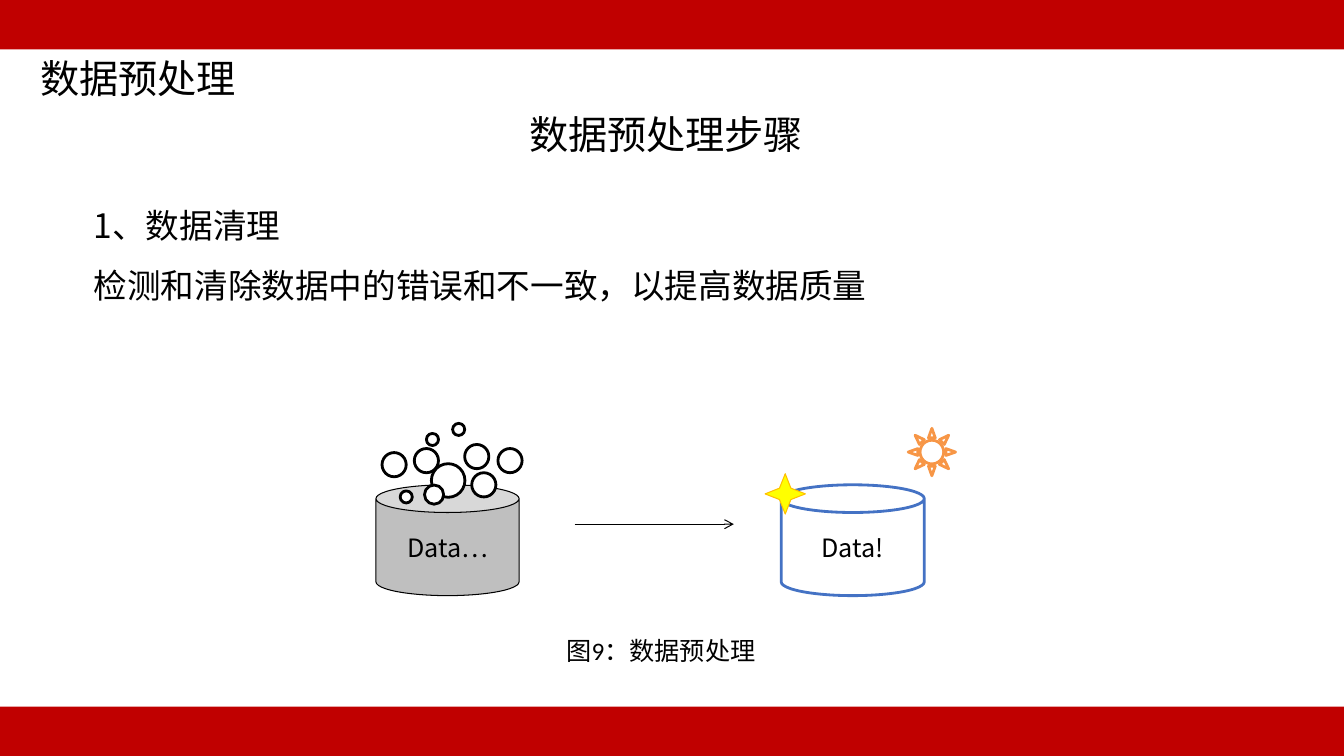
from pptx import Presentation
from pptx import util as u
from pptx.dml.color import RGBColor
from pptx.enum import shapes, text
from pptx.oxml.ns import qn

COLORS = {
    "black": "000000", "white": "FFFFFF", "red": "C00000", "grey": "BFBFBF",
    "blue": "4472C4", "orange": "F79646", "yellow": "FFFF00", "gold": "FFC000",
}
CJK_FONT = "Noto Sans CJK SC"
COLUMNS, ROWS = 40, 22.5
Shape = shapes.MSO_SHAPE


def color(name):
    return RGBColor.from_string(COLORS[name])


def write(frame, content, size=18, font=CJK_FONT, align=None, spacing=None):
    """Fill a text frame, one paragraph for each line of content."""
    frame.word_wrap = True
    for number, line in enumerate(content.split("\n")):
        paragraph = frame.add_paragraph() if number else frame.paragraphs[0]
        paragraph.alignment = align
        paragraph.line_spacing = spacing
        run = paragraph.add_run()
        run.text = line
        run.font.size = u.Pt(size)
        run.font.name = font
        run.font.color.rgb = color("black")
        east_asian = run.font._element.makeelement(qn("a:ea"), {"typeface": CJK_FONT})
        run.font._element.find(qn("a:latin")).addnext(east_asian)


class GridSlide:
    """A slide whose lengths are given in grid columns and rows."""

    def __init__(self, deck):
        self.slide = deck.slides.add_slide(deck.slide_layouts[6])
        self.column = deck.slide_width / COLUMNS
        self.row = deck.slide_height / ROWS

    def cells(self, *lengths):
        """Turn alternating columns and rows into slide units."""
        return [round(n * (self.row if i % 2 else self.column))
                for i, n in enumerate(lengths)]

    def label(self, box, content, **style):
        frame = self.slide.shapes.add_textbox(*self.cells(*box)).text_frame
        frame.auto_size = text.MSO_AUTO_SIZE.SHAPE_TO_FIT_TEXT
        write(frame, content, **style)

    def figure(self, kind, box, fill, line=None, width=0.75):
        figure = self.slide.shapes.add_shape(kind, *self.cells(*box))
        figure.shadow.inherit = False
        figure.fill.solid()
        figure.fill.fore_color.rgb = color(fill)
        if line:
            figure.line.color.rgb = color(line)
            figure.line.width = u.Pt(width)
        else:
            figure.line.fill.background()
        return figure

    def database(self, left, content, fill, line, width):
        can = self.figure(Shape.CAN, (left, 14.43, 4.26, 3.3), fill, line, width)
        can.text_frame.vertical_anchor = text.MSO_ANCHOR.MIDDLE
        write(can.text_frame, content, align=text.PP_ALIGN.CENTER)

    def bubble(self, x, y, size):
        box = (x - size / 2, y - size / 2, size, size)
        self.figure(Shape.OVAL, box, "white", "black", 2)

    def arrow(self, start, end):
        arrow = self.slide.shapes.add_connector(
            shapes.MSO_CONNECTOR.STRAIGHT, *self.cells(*start, *end))
        arrow.line.color.rgb = color("black")
        arrow.line.width = u.Pt(0.75)
        line = arrow.line._get_or_add_ln()
        line.append(line.makeelement(qn("a:tailEnd"), {"type": "arrow"}))
        properties = arrow._element.spPr
        properties.append(properties.makeelement(qn("a:effectLst"), {}))


def main():
    deck = Presentation()
    deck.slide_width, deck.slide_height = u.Inches(13.33), u.Inches(7.5)
    page = GridSlide(deck)

    # Headings and explanation
    page.label((0.9, 1.47, 6.51, 1.71), "数据预处理", size=28)
    page.label((15.45, 3.15, 8.85, 1.71), "数据预处理步骤", size=28)
    page.label((2.49, 5.34, 23.82, 3.66),
               "1、数据清理\n检测和清除数据中的错误和不一致，以提高数据质量",
               size=24, spacing=1.5)

    # Dirty data under its bubbles
    page.database(11.19, "Data…", "grey", "black", 0.75)
    small, medium, large = 0.36, 0.72, 1
    for bubble in [
        (14.4, 14.43, medium), (13.34, 14.3, large), (12.92, 14.72, 0.57),
        (12.09, 14.79, small), (11.73, 13.83, medium), (15.18, 13.71, medium),
        (14.19, 13.59, medium), (12.87, 13.08, small), (13.65, 12.78, small),
        (12.69, 13.71, medium),
    ]:
        page.bubble(*bubble)

    # Cleaning step
    page.arrow((17.1, 15.6), (21.84, 15.6))

    # Clean data with its sparkles
    page.database(23.25, "Data!", "white", "blue", 2)
    page.figure(Shape.SUN, (27.03, 12.75, 1.41, 1.41), "white", "orange", 2)
    sparkle = page.figure(Shape.STAR_4_POINT, (22.77, 14.1, 1.2, 1.2), "yellow", "gold")
    sparkle.adjustments[0] = 0.2

    # Caption
    page.label((16.56, 18.75, 6.3, 1.2), "图9：数据预处理", font="Calibri")

    # Bars at the foot and the head
    bar_height = 1.47
    for top in (ROWS - bar_height, 0):
        page.figure(Shape.RECTANGLE, (0, top, COLUMNS, bar_height), "red")

    deck.save("out.pptx")


if __name__ == "__main__":
    main()
